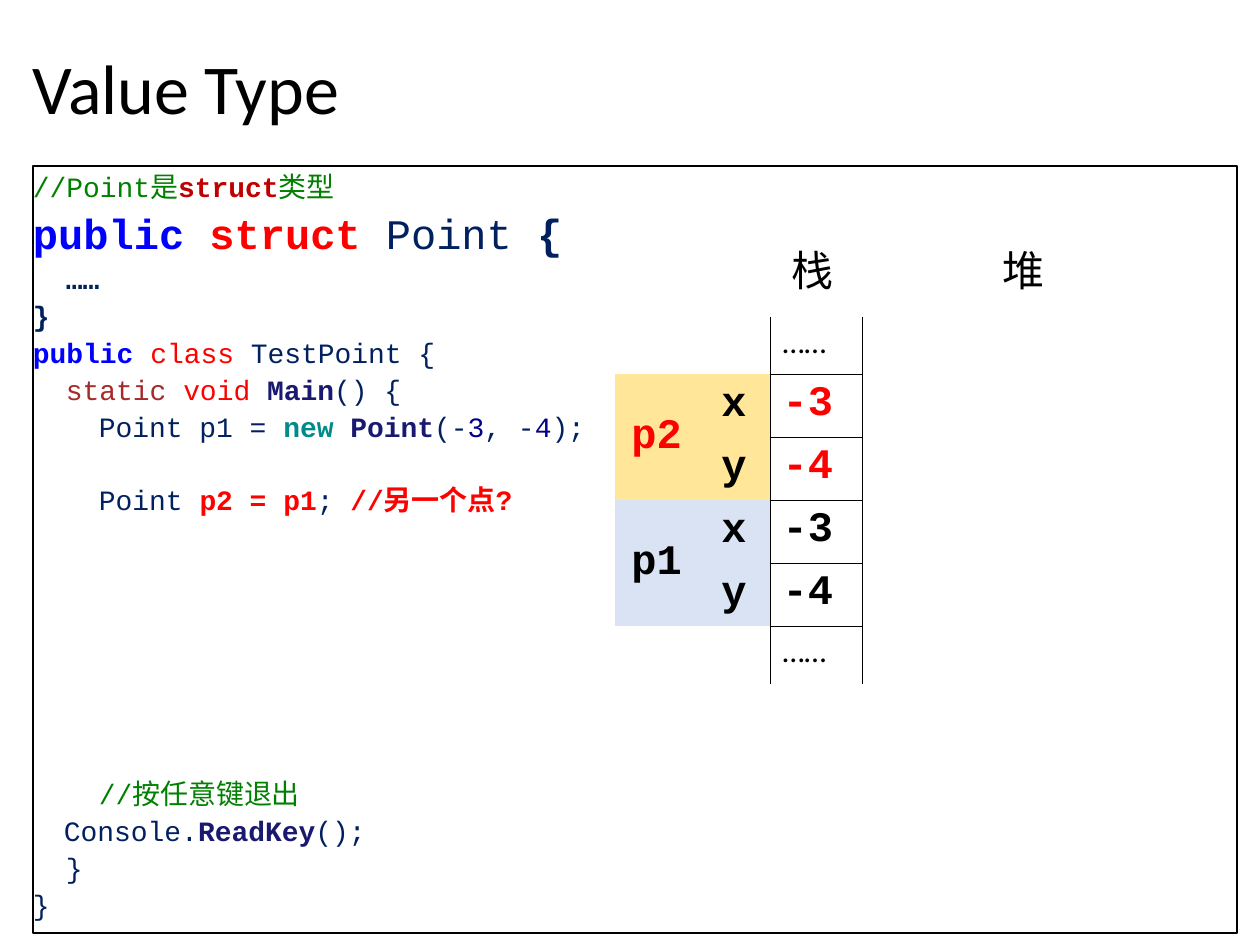
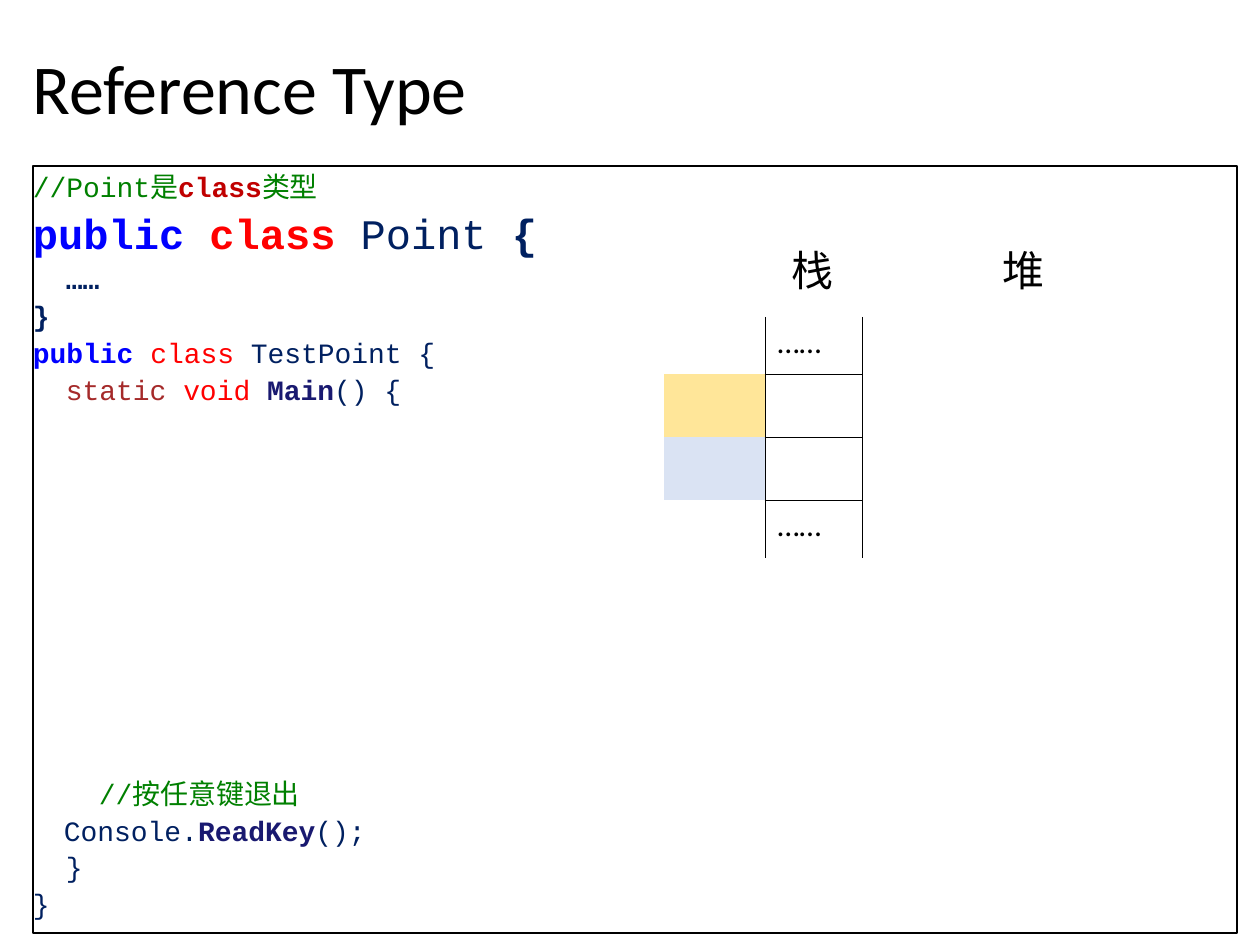
from dataclasses import dataclass
from typing import Optional

from lxml import etree
from pptx import Presentation
from pptx import util as u
from pptx.dml.color import RGBColor
from pptx.enum import shapes, text
from pptx.oxml import ns
from pptx.slide import Slide

PX = u.Inches(1) / 126

BLACK = RGBColor(0x00, 0x00, 0x00)
NAVY = RGBColor(0x00, 0x20, 0x60)
GREEN = RGBColor(0x00, 0x80, 0x00)
DARK_RED = RGBColor(0xC0, 0x00, 0x00)
RED = RGBColor(0xFF, 0x00, 0x00)
BLUE = RGBColor(0x00, 0x00, 0xFF)
BROWN = RGBColor(0xA5, 0x2A, 0x2A)
MIDNIGHT = RGBColor(0x19, 0x19, 0x70)
TEAL = RGBColor(0x00, 0x8B, 0x8B)
DARK_BLUE = RGBColor(0x00, 0x00, 0x8B)
YELLOW_FILL = RGBColor(0xFF, 0xE6, 0x99)
BLUE_FILL = RGBColor(0xDA, 0xE3, 0xF3)

HEADING = "Calibri"
CODE = "Courier New"
CHINESE = "Noto Sans CJK SC"
PLAIN_TABLE = "{2D5ABB26-0587-4C30-8999-92F81FD0307C}"

INDENT = 33
LINE_SPACING = 1.1
BLANK_LINE = 36.7
EDGE_ROW, VALUE_ROW = 57, 63


@dataclass(frozen=True)
class Span:
    text: str
    color: RGBColor = NAVY
    bold: bool = False
    size: int = 16


@dataclass(frozen=True)
class Line:
    spans: tuple[Span, ...]
    indent: int = 0
    blanks_before: int = 0


@dataclass(frozen=True)
class Variable:
    name: str
    fill: RGBColor
    color: RGBColor
    fields: tuple[tuple[str, str], ...]


def px(count: float) -> u.Emu:
    return u.Emu(round(count * PX))


def add_span(para, content: str, *, size: int = 16, color: RGBColor = BLACK,
             bold: bool = False, font: str = CODE) -> None:
    span = para.add_run()
    span.text = content
    span.font.size = u.Pt(size)
    span.font.bold = bold
    span.font.name = font
    span.font.color.rgb = color
    east_asian = etree.SubElement(span.font._element, ns.qn("a:ea"))
    east_asian.set("typeface", CHINESE)


def add_text_box(page: Slide, left: int, top: int, width: int, height: int):
    frame = page.shapes.add_textbox(px(left), px(top), px(width), px(height)).text_frame
    frame.word_wrap = True
    return frame


def add_title(page: Slide, title: str) -> None:
    frame = add_text_box(page, 20, 16, 1227, 151)
    frame.vertical_anchor = text.MSO_ANCHOR.MIDDLE
    para = frame.paragraphs[0]
    para.line_spacing = 0.9
    add_span(para, title, size=40, font=HEADING)


def add_code(page: Slide, lines: list[Line]) -> None:
    box = page.shapes.add_shape(shapes.MSO_SHAPE.RECTANGLE, px(33), px(166), px(1204), px(767))
    box.shadow.inherit = False
    box.fill.background()
    box.line.color.rgb = BLACK
    box.line.width = u.Pt(0.75)
    frame = box.text_frame
    frame.word_wrap = True
    frame.vertical_anchor = text.MSO_ANCHOR.TOP
    frame.margin_left = frame.margin_top = frame.margin_right = frame.margin_bottom = 0
    for number, line in enumerate(lines):
        para = frame.add_paragraph() if number else frame.paragraphs[0]
        para.alignment = text.PP_ALIGN.LEFT
        para.line_spacing = LINE_SPACING
        para.space_before = px(line.blanks_before * BLANK_LINE)
        para._p.get_or_add_pPr().set("marL", str(px(line.indent)))
        for span in line.spans:
            add_span(para, span.text, size=span.size, color=span.color, bold=span.bold)


def add_memory_labels(page: Slide) -> None:
    para = add_text_box(page, 779, 238, 382, 63).paragraphs[0]
    tabs = etree.SubElement(para._p.get_or_add_pPr(), ns.qn("a:tabLst"))
    etree.SubElement(tabs, ns.qn("a:tab"), pos=str(px(211)), algn="l")
    add_span(para, "栈\t堆", size=24, font=CHINESE)


def set_borders(cell, sides: str) -> None:
    properties = cell._tc.get_or_add_tcPr()
    for position, side in enumerate(sides):
        line = etree.Element(ns.qn(f"a:ln{side}"), w=str(u.Pt(0.45)))
        fill = etree.SubElement(line, ns.qn("a:solidFill"))
        etree.SubElement(fill, ns.qn("a:srgbClr"), val=str(BLACK))
        properties.insert(position, line)


def fill_cell(cell, content: str = "", *, fill: Optional[RGBColor] = None,
              color: RGBColor = BLACK, centred: bool = False) -> None:
    if fill is None:
        cell.fill.background()
    else:
        cell.fill.solid()
        cell.fill.fore_color.rgb = fill
    para = cell.text_frame.paragraphs[0]
    if centred:
        cell.vertical_anchor = text.MSO_ANCHOR.MIDDLE
        para.alignment = text.PP_ALIGN.CENTER
    if content == "……":
        add_span(para, content, size=18, font=HEADING)
    elif content:
        add_span(para, content, size=24, color=color, bold=True)


def add_stack(page: Slide, left: int, widths: list[int], variables: list[Variable]) -> None:
    value_rows = sum(len(variable.fields) for variable in variables)
    heights = [EDGE_ROW, *[VALUE_ROW] * value_rows, EDGE_ROW + 1]
    last_row, value_column = len(heights) - 1, len(widths) - 1
    holder = page.shapes.add_table(len(heights), len(widths), px(left), px(317),
                                   px(sum(widths)), px(sum(heights)))
    table = holder.table
    table.first_row = table.horz_banding = False
    table._tbl.tblPr.find(ns.qn("a:tableStyleId")).text = PLAIN_TABLE
    for column, width in zip(table.columns, widths):
        column.width = px(width)
    for row, height in zip(table.rows, heights):
        row.height = px(height)

    for edge in (0, last_row):
        for column in range(value_column):
            fill_cell(table.cell(edge, column))
        if value_column > 1:
            table.cell(edge, 0).merge(table.cell(edge, value_column - 1))
        fill_cell(table.cell(edge, value_column), "……")

    row = 1
    for variable in variables:
        for offset, (field, value) in enumerate(variable.fields):
            name = "" if offset else variable.name
            for column, content in enumerate((name, field)[:value_column]):
                fill_cell(table.cell(row + offset, column), content, fill=variable.fill,
                          color=BLACK if column else variable.color, centred=True)
            fill_cell(table.cell(row + offset, value_column), value, color=variable.color)
        if len(variable.fields) > 1:
            table.cell(row, 0).merge(table.cell(row + len(variable.fields) - 1, 0))
        row += len(variable.fields)

    for row in range(len(heights)):
        sides = "LR" + ("T" if row else "") + ("B" if row < last_row else "")
        set_borders(table.cell(row, value_column), sides)


def code_lines(kind: str, body: list[Line], blanks_after: int) -> list[Line]:
    return [
        Line((Span("//Point是", GREEN), Span(kind, DARK_RED, True), Span("类型", GREEN))),
        Line((Span("public ", BLUE, True, 24), Span(kind, RED, True, 24),
              Span(" Point ", size=24), Span("{", bold=True, size=24))),
        Line((Span("……", bold=True),), INDENT),
        Line((Span("}", bold=True),)),
        Line((Span("public ", BLUE, True), Span("class", RED), Span(" TestPoint {"))),
        Line((Span("static ", BROWN), Span("void ", RED), Span("Main", MIDNIGHT, True),
              Span("() {")), INDENT),
        *body,
        Line((Span("//按任意键退出", GREEN),), 2 * INDENT, blanks_after),
        Line((Span("Console."), Span("ReadKey", MIDNIGHT, True), Span("();")), INDENT - 2),
        Line((Span("}"),), INDENT),
        Line((Span("}"),)),
    ]


def add_page(deck, title: str, lines: list[Line], left: int, widths: list[int],
             variables: list[Variable]) -> None:
    page = deck.slides.add_slide(deck.slide_layouts[6])
    add_title(page, title)
    add_code(page, lines)
    add_memory_labels(page)
    add_stack(page, left, widths, variables)


def main() -> None:
    deck = Presentation()
    deck.slide_width, deck.slide_height = px(1260), px(945)

    point_copy = [
        Line((Span("Point p1 = "), Span("new ", TEAL, True), Span("Point", MIDNIGHT, True),
              Span("(-"), Span("3", DARK_BLUE), Span(", -"), Span("4", DARK_BLUE),
              Span(");")), 2 * INDENT),
        Line((Span("Point "), Span("p2 = p1", RED, True), Span("; "),
              Span("//另一个点?", RED, True)), 2 * INDENT, 1),
    ]
    coordinates = (("x", "-3"), ("y", "-4"))
    add_page(deck, "Value Type", code_lines("struct", point_copy, 7), 615, [83, 72, 92],
             [Variable("p2", YELLOW_FILL, RED, coordinates),
              Variable("p1", BLUE_FILL, BLACK, coordinates)])

    empty_slot = (("", ""),)
    add_page(deck, "Reference Type", code_lines("class", [], 10), 664, [101, 97],
             [Variable("", YELLOW_FILL, BLACK, empty_slot),
              Variable("", BLUE_FILL, BLACK, empty_slot)])
    deck.save("out.pptx")


if __name__ == "__main__":
    main()
